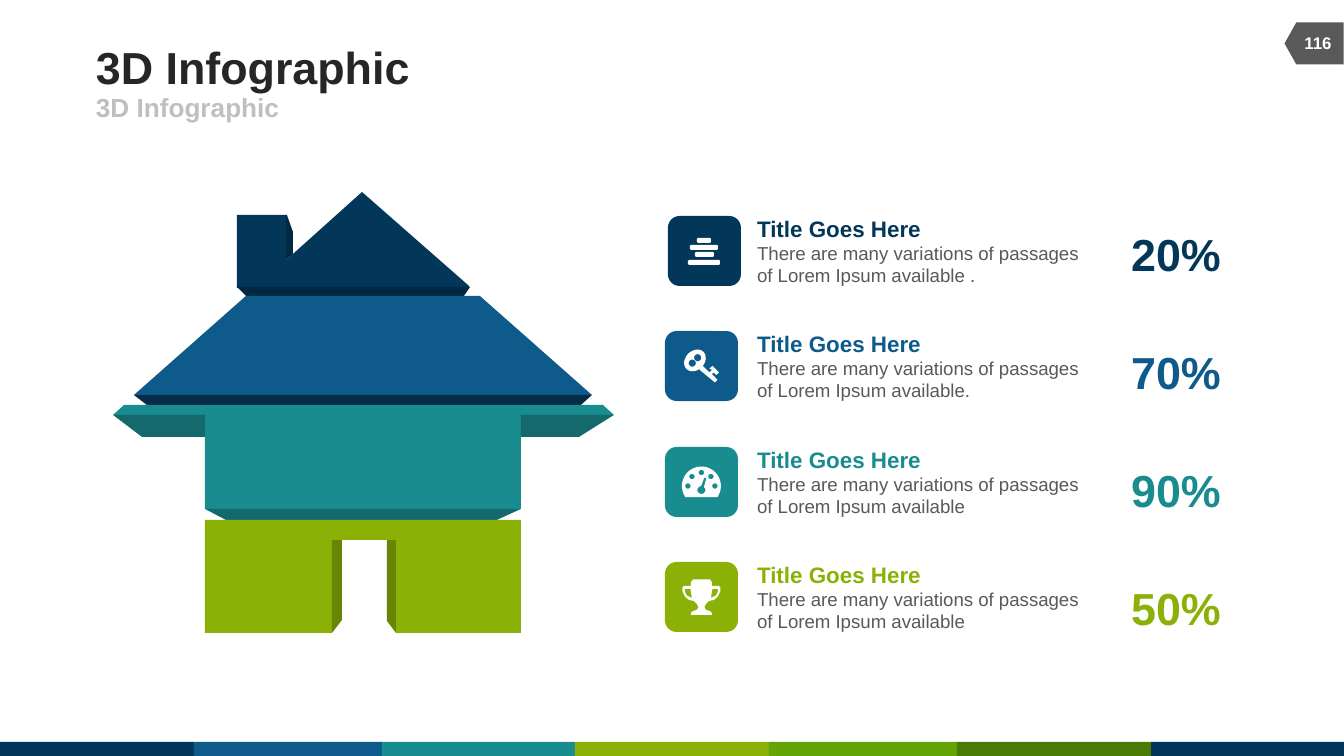
from math import cos, radians, sin

from pptx import Presentation
from pptx.dml.color import RGBColor
from pptx.enum.shapes import MSO_SHAPE
from pptx.enum.text import MSO_ANCHOR, PP_ALIGN
from pptx.util import Emu, Pt

SCALE = 914400 / 134.4
FONT = "Arial"
NAVY = RGBColor(0x02, 0x37, 0x59)
NAVY_SHADE = RGBColor(0x01, 0x29, 0x43)
BLUE = RGBColor(0x0E, 0x5A, 0x8B)
BLUE_SHADE = RGBColor(0x07, 0x2D, 0x46)
TEAL = RGBColor(0x19, 0x8C, 0x8F)
TEAL_SHADE = RGBColor(0x13, 0x69, 0x6B)
LIME = RGBColor(0x8B, 0xB1, 0x06)
LIME_SHADE = RGBColor(0x68, 0x85, 0x05)
GREEN = RGBColor(0x63, 0xA4, 0x06)
DARK_GREEN = RGBColor(0x4A, 0x7B, 0x04)
INK = RGBColor(0x26, 0x26, 0x26)
GRAY = RGBColor(0x59, 0x59, 0x59)
SILVER = RGBColor(0xBF, 0xBF, 0xBF)
WHITE = RGBColor(0xFF, 0xFF, 0xFF)


def arc(x, y, radius, start=0, end=360, step=15):
    return [(x + radius * cos(radians(angle)), y + radius * sin(radians(angle)))
            for angle in range(start, end + 1, step)]


def tilted_oval(x, y, long_radius, short_radius):
    points = []
    for along, across in arc(0, 0, 1):
        u, v = along * long_radius, across * short_radius
        points.append((x + (u + v) * 0.71, y + (v - u) * 0.71))
    return points


def bar(x, y, width, height):
    right, bottom = x + width, y + height
    return [(x + 1, y), (right - 1, y), (right, y + 1), (right, bottom - 1),
            (right - 1, bottom), (x + 1, bottom), (x, bottom - 1), (x, y + 1)]


def mirror(points, axis=36.5):
    return [(2 * axis - x, y) for x, y in reversed(points)]


STRIP_EDGES = [0, 194, 382, 575, 769, 957, 1151, 1344]
STRIP_COLORS = [NAVY, BLUE, TEAL, LIME, GREEN, DARK_GREEN, NAVY]

HOUSE = [
    (NAVY, [(469, 288), (237, 288), (237, 215), (286, 215), (286, 260), (293, 254),
            (362, 192), (469, 286)]),
    (NAVY_SHADE, [(293, 254), (286, 260), (286, 215), (287, 215), (293, 232)]),
    (NAVY_SHADE, [(464, 296), (246, 296), (237, 287), (470, 287)]),
    (BLUE, [(592, 395), (134, 395), (246, 296), (480, 296)]),
    (BLUE_SHADE, [(581, 405), (147, 405), (134, 395), (592, 395)]),
    (TEAL, [(124, 405), (603, 405), (614, 415), (521, 415), (521, 509), (205, 509),
            (205, 415), (113, 415)]),
    (TEAL_SHADE, [(205, 437), (142, 437), (113, 415), (205, 415)]),
    (TEAL_SHADE, [(521, 437), (521, 415), (614, 415), (579, 437)]),
    (TEAL_SHADE, [(497, 520), (226, 520), (205, 509), (521, 509)]),
    (LIME, [(332, 633), (205, 633), (205, 520), (521, 520), (521, 633), (396, 633),
            (396, 540), (332, 540)]),
    (LIME_SHADE, [(396, 633), (387, 621), (387, 540), (396, 540)]),
    (LIME_SHADE, [(332, 633), (332, 540), (342, 540), (342, 620)]),
]

STACK = [bar(20, 44, 32, 5), bar(27, 36, 19, 5), bar(22, 29, 28, 5), bar(29, 22, 14, 5)]
KEY = [
    tilted_oval(30, 29.5, 12, 9.5), arc(32.7, 26.8, 3.6), arc(27.3, 32.2, 3.6),
    [(34.5, 38.8), (38, 35.2), (44.5, 41.5), (47, 39), (44.5, 37.5), (47.5, 35),
     (54, 41.5), (51.5, 44), (48.5, 41.5), (47, 43), (52.5, 49), (50, 51.5)],
]
DIAL_DOTS = [(23, 39), (27, 29.5), (36.5, 25.5), (46, 29.5), (50, 39)]
GAUGE = [arc(36.5, 39, 19.5, 145, 395, 10),
         arc(36.5, 43, 4, -50, 265) + [(39.5, 30.5), (41.5, 31)]]
GAUGE += [arc(x, y, 2.7) for x, y in DIAL_DOTS]
CUP_SIDE = [(45, 17.5), (47, 20), (47, 24), (54, 24), (55.5, 25.5), (55.5, 29), (53, 34.5),
            (49, 38), (44, 39), (41, 42), (39.5, 45), (41, 48), (45, 49), (47, 51), (47, 53)]
HANDLE_HOLE = [(47.5, 27), (53, 27), (53, 30), (51, 33.5), (46, 36)]
TROPHY = [CUP_SIDE + mirror(CUP_SIDE), HANDLE_HOLE, mirror(HANDLE_HOLE)]

PASSAGE = "There are many variations of passages of Lorem Ipsum available"
ITEMS = [
    (NAVY, STACK, 668, " .", "20%"),
    (BLUE, KEY, 665, ".", "70%"),
    (TEAL, GAUGE, 665, "", "90%"),
    (LIME, TROPHY, 665, "", "50%"),
]


def px(value):
    return Emu(round(value * SCALE))


def paint(shape, color):
    shape.shadow.inherit = False
    shape.fill.solid()
    shape.fill.fore_color.rgb = color
    shape.line.fill.background()


def add_preset(slide, kind, box, color):
    shape = slide.shapes.add_shape(kind, *map(px, box))
    paint(shape, color)
    return shape


def add_outline(slide, contours, color, left=0, top=0):
    builder = None
    for contour in contours:
        points = [(px(left + x), px(top + y)) for x, y in contour]
        if builder is None:
            builder = slide.shapes.build_freeform(*points[0], scale=1.0)
        else:
            builder.move_to(*points[0])
        builder.add_line_segments(points[1:], close=True)
    paint(builder.convert_to_shape(), color)


def add_text(slide, box, lines, anchor=MSO_ANCHOR.MIDDLE, align=PP_ALIGN.LEFT,
             inset=(0, 0), wrap=False):
    frame = slide.shapes.add_textbox(*map(px, box)).text_frame
    frame.word_wrap = wrap
    frame.vertical_anchor = anchor
    frame.margin_left = frame.margin_right = px(inset[0])
    frame.margin_top = frame.margin_bottom = px(inset[1])
    for index, (text, size, color, bold) in enumerate(lines):
        paragraph = frame.add_paragraph() if index else frame.paragraphs[0]
        paragraph.alignment = align
        run = paragraph.add_run()
        run.text = text
        run.font.name = FONT
        run.font.size = Pt(size)
        run.font.bold = bold
        run.font.color.rgb = color


def main():
    """Build the house infographic slide and save it."""
    presentation = Presentation()
    presentation.slide_width, presentation.slide_height = px(1344), px(756)
    slide = presentation.slides.add_slide(presentation.slide_layouts[6])

    for left, right, color in zip(STRIP_EDGES, STRIP_EDGES[1:], STRIP_COLORS):
        add_preset(slide, MSO_SHAPE.RECTANGLE, (left, 742, right - left, 14), color)

    badge = add_preset(slide, MSO_SHAPE.FLOWCHART_OFFPAGE_CONNECTOR, (1293, 14, 42, 59), GRAY)
    badge.rotation = 90
    add_text(slide, (1290, 23, 56, 40), [("116", 9, WHITE, True)], align=PP_ALIGN.CENTER)
    add_text(slide, (96, 41, 829, 52), [("3D Infographic", 24, INK, True)])
    add_text(slide, (96, 92, 605, 30), [("3D Infographic", 14, SILVER, True)])

    for color, outline in HOUSE:
        add_outline(slide, [outline], color)

    for row, (color, icon, left, ending, percent) in enumerate(ITEMS):
        top = 216 + round(115.3 * row)
        add_preset(slide, MSO_SHAPE.ROUNDED_RECTANGLE, (left, top, 73, 70), color)
        add_outline(slide, icon, WHITE, left, top)
        add_text(slide, (744, top - 8, 364, 86),
                 [("Title Goes Here", 12, color, True), (PASSAGE + ending, 10, GRAY, False)],
                 anchor=MSO_ANCHOR.TOP, inset=(13, 7), wrap=True)
        add_text(slide, (1131, 226 + 118 * row, 90, 54), [(percent, 24, color, True)],
                 anchor=MSO_ANCHOR.BOTTOM, align=PP_ALIGN.CENTER)

    presentation.save("out.pptx")


if __name__ == "__main__":
    main()
